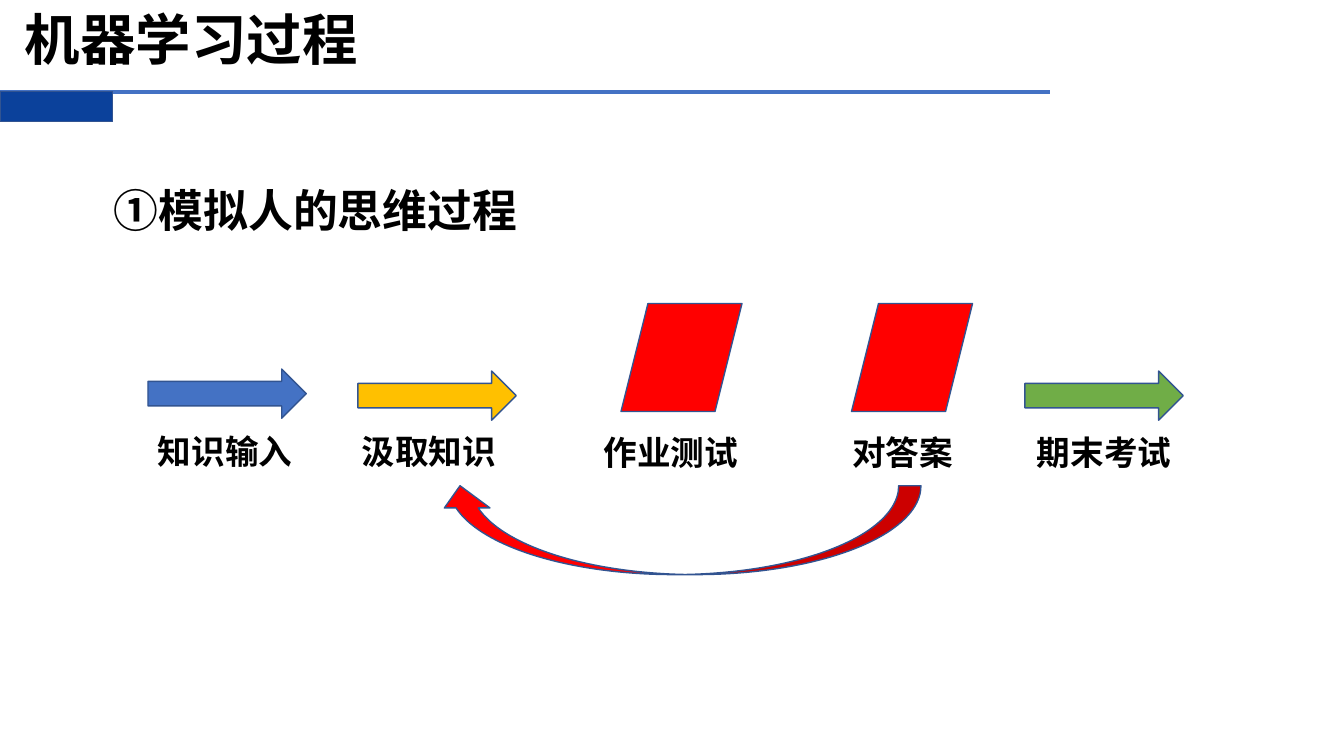
from lxml import etree
from pptx import Presentation
from pptx.dml.color import RGBColor
from pptx.enum.shapes import MSO_CONNECTOR, MSO_SHAPE as SHAPE
from pptx.enum.text import MSO_ANCHOR as ANCHOR, PP_ALIGN as ALIGN
from pptx.oxml.ns import qn
from pptx.util import Cm, Pt


def rgb(value):
    return RGBColor.from_string(value)


class SlideBuilder:
    font = "Noto Sans CJK SC"
    ink = "000000"
    outline = "325491"

    def __init__(self, slide):
        self.s = slide

    def line(self, x1, y1, x2, y2, color, width):
        cx = self.s.shapes.add_connector(
            MSO_CONNECTOR.STRAIGHT, Cm(x1), Cm(y1), Cm(x2), Cm(y2))
        cx.line.color.rgb = rgb(color)
        cx.line.width = Pt(width)
        etree.SubElement(cx._element.spPr, qn("a:effectLst"))

    def shape(self, kind, x, y, w, h, fill):
        sp = self.s.shapes.add_shape(kind, Cm(x), Cm(y), Cm(w), Cm(h))
        sp.shadow.inherit = False
        sp.fill.solid()
        sp.fill.fore_color.rgb = rgb(fill)
        sp.line.color.rgb = rgb(self.outline)
        sp.line.width = Pt(1)
        return sp

    def text(self, text, x, y, w, h, size, align=ALIGN.LEFT, anchor=ANCHOR.TOP):
        sp = self.s.shapes.add_textbox(Cm(x), Cm(y), Cm(w), Cm(h))
        tf = sp.text_frame
        tf.word_wrap = True
        tf.vertical_anchor = anchor
        p = tf.paragraphs[0]
        p.alignment = align
        r = p.add_run()
        r.text = text
        r.font.size = Pt(size)
        r.font.bold = True
        r.font.color.rgb = rgb(self.ink)
        r.font.name = self.font
        etree.SubElement(r.font._element, qn("a:ea"), typeface=self.font)
        return p

    def numbered(self, text, x, y, w, h, size, indent):
        p = self.text(text, x, y, w, h, size)
        pPr = p._p.get_or_add_pPr()
        pPr.set("marL", str(Cm(indent)))
        pPr.set("indent", str(-Cm(indent)))
        etree.SubElement(pPr, qn("a:buFont"), typeface=self.font)
        etree.SubElement(pPr, qn("a:buAutoNum"), type="circleNumDbPlain")


def main():
    prs = Presentation()
    prs.slide_width, prs.slide_height = Cm(33.87), Cm(19.05)
    b = SlideBuilder(prs.slides.add_slide(prs.slide_layouts[6]))

    # Header
    b.line(0, 2.31, 26.47, 2.31, "4472C4", 3)
    b.shape(SHAPE.RECTANGLE, 0, 2.31, 2.84, 0.76, "0B419B")
    title = b.text("机器学习过程", 0.38, 0.3, 29.21, 1.57, 39.6, anchor=ANCHOR.MIDDLE)
    title.line_spacing = 0.9
    b.numbered("模拟人的思维过程", 2.62, 4.47, 11.56, 2.39, 32, 0.97)

    # Step symbols
    for x, y, fill in ((3.73, 9.3, "4472C4"), (9.02, 9.35, "FFC000"),
                       (25.83, 9.35, "70AD47")):
        b.shape(SHAPE.RIGHT_ARROW, x, y, 3.99, 1.24, fill)
    for x in (15.65, 21.46):
        b.shape(SHAPE.PARALLELOGRAM, x, 7.65, 3.05, 2.72, "FF0000")

    # Step labels
    for label, x, y, align in (
            ("知识输入", 3.73, 10.74, ALIGN.LEFT),
            ("汲取知识", 8.81, 10.74, ALIGN.CENTER),
            ("作业测试", 14.91, 10.77, ALIGN.CENTER),
            ("对答案", 20.75, 10.77, ALIGN.CENTER),
            ("期末考试", 25.83, 10.77, ALIGN.CENTER)):
        b.text(label, x, y, 3.99, 1.27, 24, align)

    # Feedback from the answers to learning
    feedback = b.shape(SHAPE.CURVED_UP_ARROW, 11.02, 12.24, 12.19, 2.24, "FF0000")
    for i, value in enumerate((0.25, 0.513, 0.25)):
        feedback.adjustments[i] = value
    feedback._element.spPr.get_or_add_xfrm().set("flipH", "1")

    prs.save("out.pptx")


if __name__ == "__main__":
    main()
